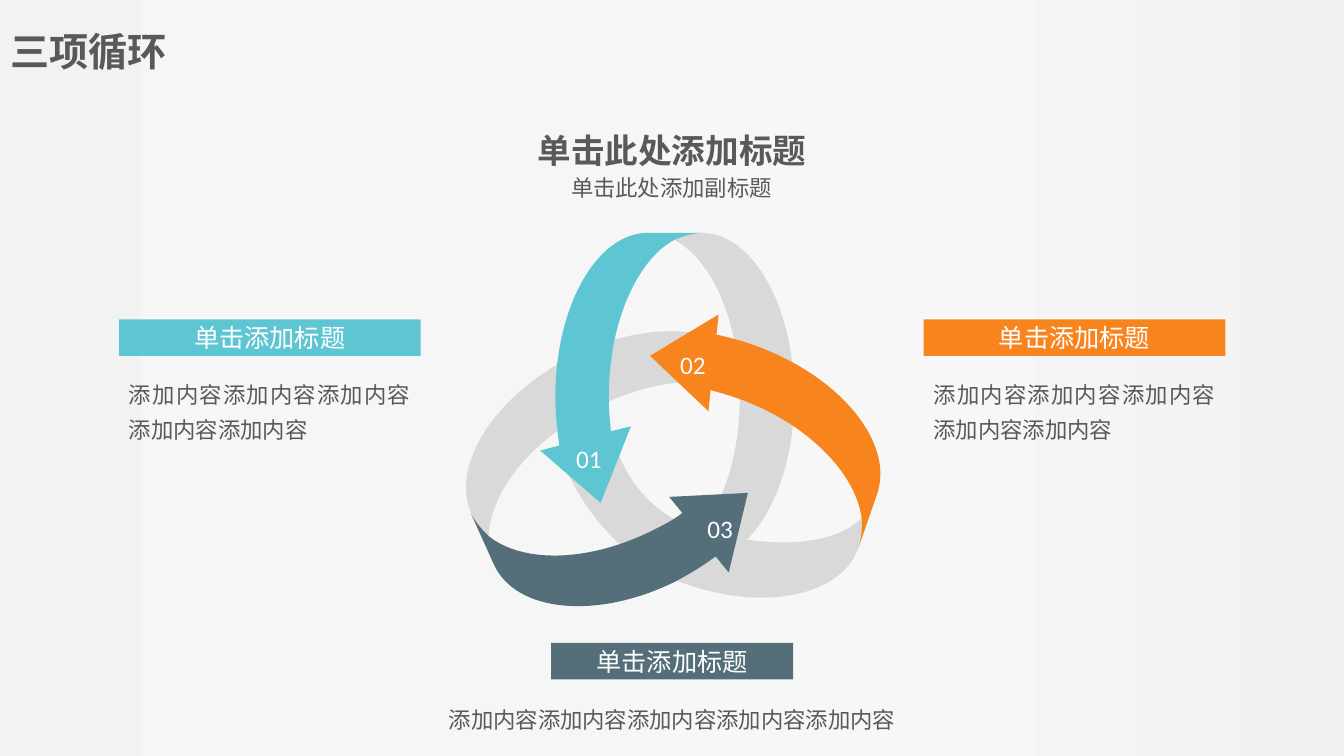
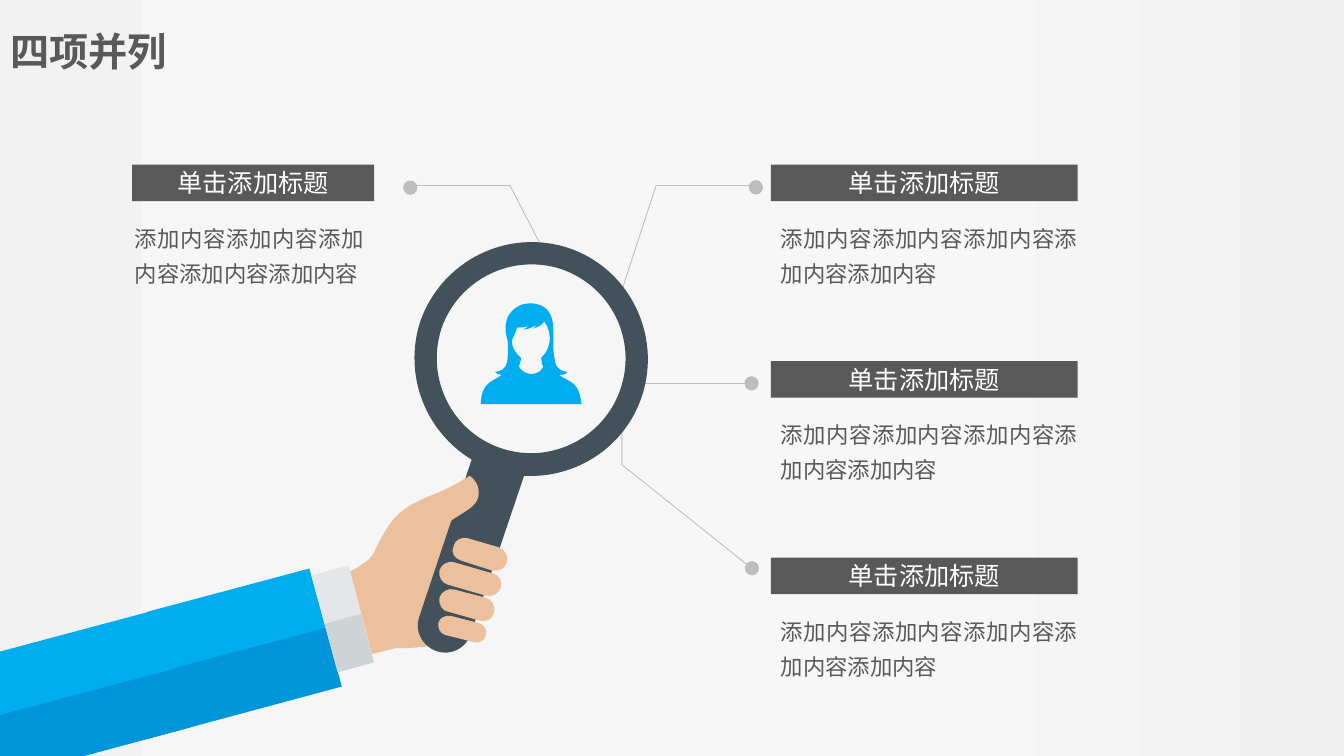
from lxml import etree
from pptx import Presentation
from pptx.dml.color import RGBColor
from pptx.enum import shapes, text
from pptx.oxml import ns
from pptx.util import Cm, Pt

BACKDROP = [(0, "F2F2F2"), (21, "F6F6F6"), (48, "F7F7F7"), (77, "F5F5F5"), (100, "F0F0F0")]
INK, WHITE, TRACK, LEADER = "595959", "FFFFFF", "D9D9D9", "BBBDBF"
TEAL, ORANGE, SLATE = "5EC6D3", "F8841D", "546E7A"
BLUE, DARK_BLUE, SKIN, LENS = "00ADEF", "0094D9", "ECC09D", "42515A"
BODY_FONT, BAR_FONT, CHINESE_FONT = "Calibri", "Roboto Condensed", "Noto Sans CJK SC"
BAR_TEXT = "单击添加标题"
NOTE_TEXT = "添加内容" * 5
CENTER, LEFT, JUSTIFY = text.PP_ALIGN.CENTER, text.PP_ALIGN.LEFT, text.PP_ALIGN.JUSTIFY
OUTLINE_UNIT = Cm(2.54) / 100

# Each contour is a start point, then points (x, y) or curves (x1, y1, x2, y2, x, y).
TRACKS = [
    [(696, 231), (687, 231, 678, 233, 669, 238), (707, 258, 734, 320, 734, 394),
     (734, 467, 707, 529, 669, 549), (678, 554, 687, 556, 696, 556),
     (747, 556, 788, 483, 788, 394), (788, 304, 747, 231, 696, 231)],
    [(855, 514), (824, 544, 760, 544, 692, 525), (633, 507, 607, 450, 605, 413),
     (598, 419, 555, 432, 555, 442), (556, 462, 593, 546, 674, 577),
     (755, 608, 835, 592, 852, 543), (855, 534, 856, 524, 855, 514)],
    [(468, 510), (472, 519, 477, 526, 485, 532), (486, 488, 528, 435, 592, 404),
     (655, 372, 721, 371, 754, 398), (754, 388, 753, 379, 749, 370),
     (727, 322, 646, 315, 569, 353), (491, 392, 446, 462, 468, 510)],
]
ARROWS = {
    SLATE: [(742, 489), (664, 493), (677, 509), (668, 516, 658, 521, 648, 526),
            (584, 558, 519, 559, 485, 532), (472, 520, 467, 509, 467, 509), (490, 560),
            (512, 608, 593, 615, 670, 577), (685, 569, 698, 561, 710, 552), (723, 568)],
    ORANGE: [(755, 345), (740, 339, 725, 335, 711, 332), (713, 312), (645, 353), (703, 408),
             (705, 387), (716, 390, 726, 393, 737, 397), (803, 422, 849, 470, 855, 514),
             (856, 532, 852, 543, 852, 543), (870, 491), (888, 441, 836, 376, 755, 345)],
    TEAL: [(643, 231), (592, 231, 551, 304, 551, 394), (551, 410, 553, 427, 555, 442),
           (536, 447), (596, 499), (626, 423), (606, 428), (605, 417, 604, 406, 604, 394),
           (604, 320, 632, 258, 669, 238), (685, 231, 697, 231, 697, 231)],
}
HAND = [(488, 535), (464, 517, 473, 509, 473, 488), (472, 480, 468, 476, 464, 473),
        (435, 494, 403, 493, 384, 524), (370, 546, 373, 552, 359, 560),
        (355, 563, 352, 565, 347, 567), (369, 649), (393, 643),
        (397, 643, 449, 645, 462, 623), (470, 610, 484, 547, 488, 535)]
MAGNIFIER = [(520, 472), (467, 629), (463, 643, 447, 651, 433, 646),
             (419, 641, 411, 626, 416, 612), (468, 456), (422, 428, 400, 372, 417, 319),
             (438, 259, 503, 226, 564, 246), (624, 266, 657, 332, 637, 393),
             (620, 444, 571, 475, 520, 472)]
GLASS = [(557, 267), (606, 284, 632, 336, 616, 385), (600, 434, 547, 461, 498, 445),
         (449, 429, 422, 376, 438, 326), (455, 277, 508, 251, 557, 267)]
FINGERS = [
    [(482, 567), (489, 569), (495, 570, 499, 577, 497, 583), (495, 589, 488, 593, 482, 591),
     (451, 582), (444, 580), (438, 578, 435, 572, 436, 566), (438, 560, 444, 556, 451, 558)],
    [(451, 585), (482, 593), (488, 595, 492, 601, 490, 608), (489, 614, 483, 617, 477, 616),
     (445, 607), (438, 606, 435, 599, 436, 593), (438, 587, 445, 583, 451, 585)],
    [(447, 611), (475, 618), (480, 619, 484, 625, 482, 630), (481, 635, 476, 639, 470, 637),
     (442, 630), (437, 629, 434, 623, 435, 618), (436, 613, 442, 610, 447, 611)],
    [(464, 534), (495, 543), (501, 545, 505, 552, 503, 558), (501, 564, 495, 567, 488, 566),
     (457, 556), (451, 554, 447, 548, 450, 542), (451, 536, 458, 532, 464, 534)],
]
THUMB = [(427, 541), (441, 509, 475, 510, 475, 489), (475, 480, 470, 475, 466, 472),
         (460, 476, 453, 480, 447, 483)]
SLEEVE = [(146, 607), (307, 564), (339, 681), (146, 733)]
SLEEVE_SHADE = [(146, 670), (323, 623), (339, 681), (146, 733)]
CUFF = [(309, 571), (346, 561), (371, 657), (335, 667)]
CUFF_SHADE = [(322, 619), (358, 609), (371, 657), (335, 667)]
FACE = [(537, 355), (537, 358, 538, 362, 539, 364), (538, 366, 537, 367, 536, 368),
        (530, 373, 520, 372, 515, 364), (515, 362, 517, 358, 517, 355),
        (517, 355, 510, 350, 508, 341), (507, 336, 512, 331, 513, 325),
        (519, 325, 521, 325, 525, 323), (523, 325, 521, 326, 519, 327),
        (526, 327, 532, 322, 532, 323), (532, 323, 531, 325, 529, 326),
        (535, 324, 537, 323, 540, 319), (550, 333, 545, 348, 537, 355)]
HAIR_AND_SHOULDERS = [
    (491, 369), (493, 371, 495, 372, 498, 372), (486, 380, 478, 380, 477, 401),
    (510, 401, 543, 401, 577, 401),
    (575, 385, 571, 381, 563, 377), (562, 376, 555, 373, 555, 372),
    (558, 372, 561, 372, 563, 369), (557, 369, 552, 365, 551, 360),
    (550, 355, 549, 349, 549, 344), (549, 339, 549, 332, 549, 324),
    (548, 310, 541, 301, 526, 301), (516, 301, 509, 306, 504, 314),
    (498, 332, 505, 333, 504, 345), (504, 350, 504, 355, 503, 360),
    (502, 365, 497, 369, 491, 369)]
LEADERS = [[(617, 419), (617, 461), (746, 564)],
           [(540, 250), (506, 184), (407, 184)],
           [(617, 288), (651, 184), (750, 184)]]


def rgb(value):
    return RGBColor.from_string(value)


def paint(shape, color):
    shape.shadow.inherit = False
    shape.fill.solid()
    shape.fill.fore_color.rgb = rgb(color)
    shape.line.fill.background()


def pen(line):
    line.color.rgb = rgb(LEADER)
    line.width = Pt(0.63)


def write(frame, words, size, color=INK, font=BODY_FONT, bold=False, align=LEFT, spacing=None):
    para = frame.paragraphs[0]
    para.alignment = align
    para.line_spacing = spacing
    span = para.add_run()
    span.text = words
    span.font.name = font
    span.font.size = Pt(size)
    span.font.bold = bold
    span.font.color.rgb = rgb(color)
    etree.SubElement(span.font._element, ns.qn("a:ea"), typeface=CHINESE_FONT)


def add_text(page, left, top, width, height, words, size, wrap=True, **style):
    box = page.shapes.add_textbox(Cm(left), Cm(top), Cm(width), Cm(height))
    box.text_frame.word_wrap = wrap
    write(box.text_frame, words, size, **style)


def add_preset(page, kind, left, top, width, height, color):
    shape = page.shapes.add_shape(kind, Cm(left), Cm(top), Cm(width), Cm(height))
    paint(shape, color)
    return shape


def scale_points(step):
    """Split a point or curve into its (x, y) pairs in EMU."""
    return [(x * OUTLINE_UNIT, y * OUTLINE_UNIT) for x, y in zip(step[::2], step[1::2])]


def bend_curves(shape, steps):
    """Join the three segments of each curve step into one cubic curve."""
    segments = iter(list(shape._element.iter(ns.qn("a:lnTo"))))
    for step in steps:
        first = next(segments)
        if len(step) == 6:
            curve = etree.Element(ns.qn("a:cubicBezTo"))
            first.addprevious(curve)
            for segment in (first, next(segments), next(segments)):
                curve.append(segment[0])
                segment.getparent().remove(segment)


def add_outline(page, contours, color=None):
    """Draw closed filled contours, or an open leader line when no colour is given."""
    builder = page.shapes.build_freeform(*scale_points(contours[0][0])[0])
    for number, (start, *steps) in enumerate(contours):
        if number:
            builder.move_to(*scale_points(start)[0])
        points = [point for step in steps for point in scale_points(step)]
        builder.add_line_segments(points, close=color is not None)
    shape = builder.convert_to_shape()
    bend_curves(shape, [step for contour in contours for step in contour[1:]])
    if color:
        paint(shape, color)
    else:
        shape.shadow.inherit = False
        shape.fill.background()
        pen(shape.line)


def add_card(page, bar, note, color, align=JUSTIFY):
    """Add a title bar and the note below it, each given as left, top, width."""
    add_text(page, *note, 2.03, NOTE_TEXT, 16, align=align, spacing=1.3)
    box = add_preset(page, shapes.MSO_SHAPE.RECTANGLE, *bar, 0.92, color)
    frame = box.text_frame
    frame.margin_left = frame.margin_right = frame.margin_top = frame.margin_bottom = 0
    frame.vertical_anchor = text.MSO_ANCHOR.MIDDLE
    write(frame, BAR_TEXT, 18, WHITE, BAR_FONT, align=CENTER)


def style_template(deck):
    """Set the shared background and title place; return the layout."""
    master = deck.slide_master
    fill = master.background.fill
    fill.gradient()
    fill.gradient_angle = 0
    stops = next(master.element.iter(ns.qn("a:gsLst")))
    stops.clear()
    for percent, color in BACKDROP:
        stop = etree.SubElement(stops, ns.qn("a:gs"), pos=str(percent * 1000))
        etree.SubElement(stop, ns.qn("a:srgbClr"), val=color)
    layout = deck.slide_layouts.get_by_name("Title Only")
    title = layout.placeholders[0]
    title.left, title.top, title.width, title.height = Cm(0), Cm(0.56), Cm(4.46), Cm(1.45)
    return layout


def add_page(deck, layout, heading):
    page = deck.slides.add_slide(layout)
    frame = page.shapes.title.text_frame
    frame.auto_size = text.MSO_AUTO_SIZE.NONE
    frame.word_wrap = False
    frame.vertical_anchor = text.MSO_ANCHOR.TOP
    write(frame, heading, 28, bold=True)
    return page


def build_cycle(page):
    for track in TRACKS:
        add_outline(page, [track], TRACK)
    for color, arrow in ARROWS.items():
        add_outline(page, [arrow], color)
    add_card(page, (13.89, 16.2, 6.1), (8.33, 17.46, 17.22), SLATE, CENTER)
    for left, color in ((3, TEAL), (23.28, ORANGE)):
        add_card(page, (left, 8.05, 7.6), (left, 9.28, 7.6), color)
    for number, (left, top) in enumerate([(14.27, 11.05), (16.89, 8.67), (17.58, 12.8)], 1):
        add_text(page, left, top, 1.17, 1.02, f"{number:02}", 18, wrap=False, color=WHITE)
    add_text(page, 11.5, 2.95, 10.87, 1.4, "单击此处添加标题", 24,
             bold=True, align=CENTER, spacing=1.2)
    add_text(page, 10.03, 4.11, 13.79, 1.02, "单击此处添加副标题", 16,
             font=CHINESE_FONT, align=CENTER, spacing=1.23)


def add_leaders(page):
    straight = page.shapes.add_connector(
        shapes.MSO_CONNECTOR.STRAIGHT, Cm(16.18), Cm(9.65), Cm(18.87), Cm(9.65))
    pen(straight.line)
    etree.SubElement(straight._element.spPr, ns.qn("a:effectLst"))
    for leader in LEADERS:
        add_outline(page, [leader])
    size = 0.36
    for x, y in [(18.95, 14.32), (18.94, 9.66), (10.34, 4.73), (19.05, 4.72)]:
        add_preset(page, shapes.MSO_SHAPE.OVAL, x - size / 2, y - size / 2, size, size, LEADER)


def shift(contour, across, down):
    return [(x + across, y + down) for x, y in contour]


def add_arm(page):
    add_outline(page, [HAND], SKIN)
    add_outline(page, [MAGNIFIER, GLASS], LENS)
    add_outline(page, [SLEEVE], BLUE)
    add_outline(page, [CUFF], "E5E6E7")
    for finger in FINGERS:
        add_outline(page, [finger], SKIN)
    add_outline(page, [SLEEVE_SHADE], DARK_BLUE)
    add_outline(page, [CUFF_SHADE], "CED3D6")
    add_outline(page, [THUMB], SKIN)
    for contour, color in ((SLEEVE, BLUE), (SLEEVE_SHADE, DARK_BLUE)):
        add_outline(page, [shift(contour, -150, 40.5)], color)


def build_parallel(page):
    add_leaders(page)
    add_arm(page)
    add_outline(page, [FACE, HAIR_AND_SHOULDERS], BLUE)
    add_card(page, (3.33, 4.15, 6.1), (3.15, 5.34, 6.27), INK)
    for row in range(3):
        top = 4.15 + 4.95 * row
        add_card(page, (19.43, top, 7.73), (19.43, top + 1.19, 7.98), INK)


def main():
    deck = Presentation()
    deck.slide_width, deck.slide_height = Cm(33.87), Cm(19.05)
    layout = style_template(deck)
    build_cycle(add_page(deck, layout, "三项循环"))
    build_parallel(add_page(deck, layout, "四项并列"))
    deck.save("out.pptx")


if __name__ == "__main__":
    main()
